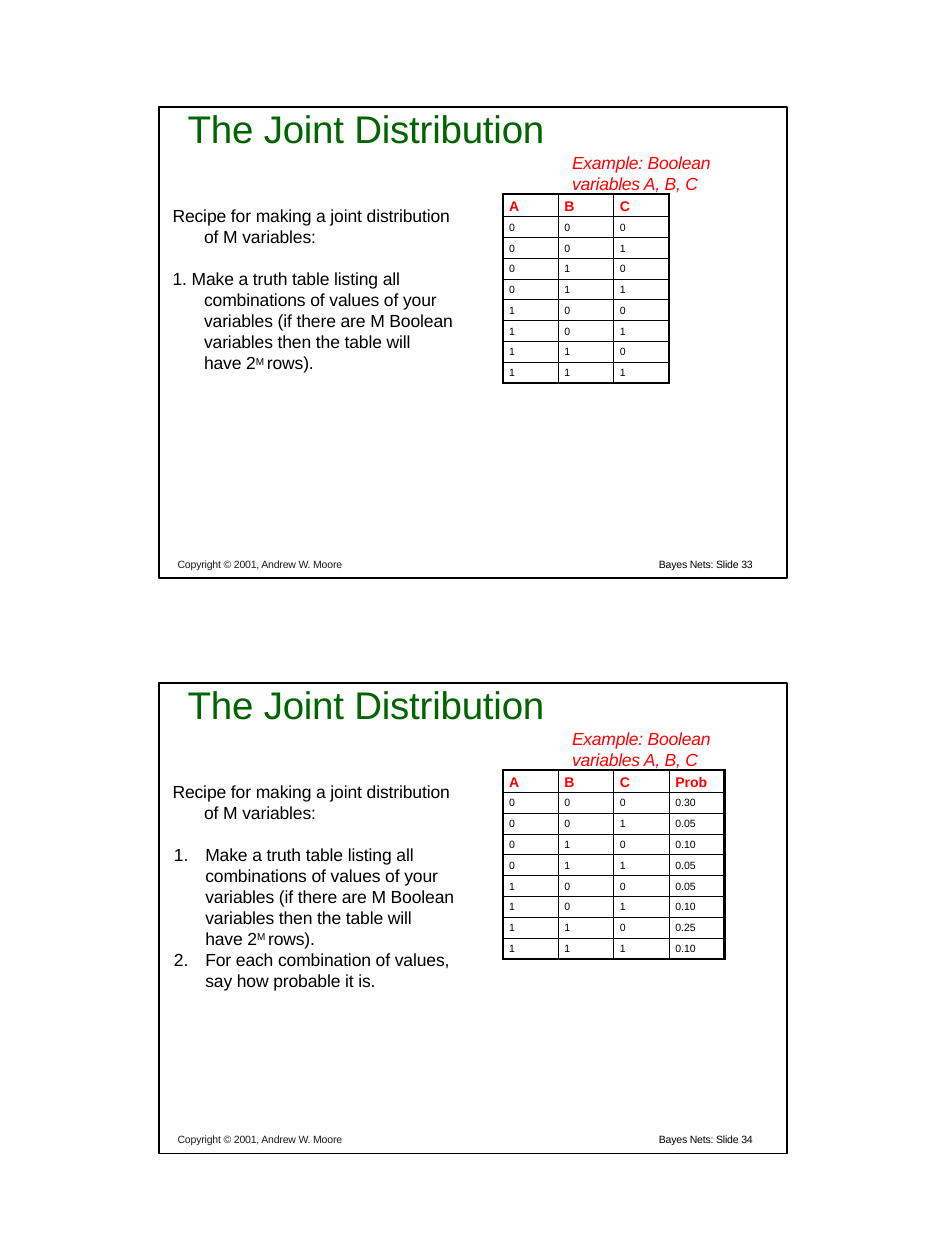
from dataclasses import dataclass
from itertools import product

from lxml.etree import SubElement
from pptx import Presentation
from pptx.dml.color import RGBColor as Color
from pptx.enum.shapes import MSO_SHAPE as Shape
from pptx.oxml import parse_xml
from pptx.oxml.ns import nsdecls, qn
from pptx.util import Inches, Pt

# The page is a grid of 150 columns by 200 rows of square units.
PAGE_COLUMNS, PAGE_ROWS = 150, 200
UNIT = Inches(7.5) / PAGE_COLUMNS


@dataclass(frozen=True)
class Style:
    size: float
    color: str
    bold: bool = False
    italic: bool = False
    tracking: int = 0  # hundredths of a point


@dataclass(frozen=True)
class Theme:
    font: str = "Arial"
    line: str = "000000"
    rule: str = "010101"
    frame_width: float = 1.02
    outer_rule: float = 1.5
    inner_rule: float = 0.5
    title: Style = Style(22, "006500", tracking=-10)
    body: Style = Style(10, "000000", tracking=-5)
    exponent: Style = Style(9.8, "000000")
    example: Style = Style(10, "FF0000", italic=True, tracking=-10)
    heading: Style = Style(8, "FF0000", bold=True)
    value: Style = Style(6, "000000")
    copyright: Style = Style(6, "1C1C1C", tracking=-10)
    page: Style = Style(6, "000000", tracking=-10)


THEME = Theme()


@dataclass(frozen=True)
class Box:
    left: float
    top: float
    width: float
    height: float

    def inner(self, left, top, width, height):
        return Box(self.left + left, self.top + top, width, height)

    def lengths(self):
        return [units(n) for n in (self.left, self.top, self.width, self.height)]


def units(count):
    return round(count * UNIT)


def add_run(paragraph, text, style, raised=False):
    run = paragraph.add_run()
    run.text = text
    font = run.font
    font.name, font.size = THEME.font, Pt(style.size)
    font.bold, font.italic = style.bold, style.italic
    font.color.rgb = Color.from_string(style.color)
    properties = run._r.get_or_add_rPr()
    if style.tracking:
        properties.set("spc", str(style.tracking))
    if raised:
        properties.set("baseline", "26000")


def add_text_frame(slide, box):
    frame = slide.shapes.add_textbox(*box.lengths()).text_frame
    frame.word_wrap = True
    frame.margin_left = frame.margin_right = frame.margin_bottom = 0
    frame.margin_top = units(0.5)
    return frame


def add_label(slide, box, text, style):
    add_run(add_text_frame(slide, box).paragraphs[0], text, style)


def set_hanging_indent(paragraph, numbered=False):
    properties = paragraph._p.get_or_add_pPr()
    properties.set("marL", str(units(6.2 if numbered else 6)))
    properties.set("indent", str(units(-5)))
    if numbered:
        SubElement(properties, qn("a:buAutoNum"), type="arabicPeriod")
        tabs = SubElement(properties, qn("a:tabLst"))
        SubElement(tabs, qn("a:tab"), pos=str(units(6.2)), algn="l")


def add_recipe(slide, box, with_probabilities):
    """Number the steps as a list only when there is more than one."""
    frame = add_text_frame(slide, box)
    intro = frame.paragraphs[0]
    set_hanging_indent(intro)
    add_run(intro, "Recipe for making a joint distribution of M variables:", THEME.body)

    step = frame.add_paragraph()
    set_hanging_indent(step, with_probabilities)
    step.space_before = Pt(12)
    if not with_probabilities:
        add_run(step, "1. ", THEME.body)
    add_run(step, "Make a truth table listing all combinations of values of your "
            "variables (if there are M Boolean variables then the table will", THEME.body)
    step.add_line_break()
    add_run(step, "have 2", THEME.body)
    add_run(step, "M ", THEME.exponent, raised=True)
    add_run(step, "rows).", THEME.body)

    if with_probabilities:
        step = frame.add_paragraph()
        set_hanging_indent(step, numbered=True)
        add_run(step, "For each combination of values, say how probable it is.", THEME.body)


def set_borders(cell, outer_sides):
    """Rule all four sides, heavier where the side is on the table's edge."""
    properties = cell._tc.get_or_add_tcPr()
    for index, side in enumerate("LRTB"):
        width = THEME.outer_rule if side in outer_sides else THEME.inner_rule
        properties.insert(index, parse_xml(
            f'<a:ln{side} {nsdecls("a")} w="{Pt(width)}"><a:solidFill>'
            f'<a:srgbClr val="{THEME.rule}"/></a:solidFill></a:ln{side}>'))


def add_truth_table(slide, corner, probabilities):
    headings = ["A", "B", "C"] + (["Prob"] if probabilities else [])
    rows = [headings] + [list(map(str, bits)) for bits in product((0, 1), repeat=3)]
    for row, probability in zip(rows[1:], probabilities):
        row.append(probability)

    column_width, heading_height, row_height = 8.8, 3.6, 3.3
    last_row, last_column = len(rows) - 1, len(headings) - 1
    box = corner.inner(0, 0, column_width * len(headings),
                       heading_height + row_height * last_row)
    table = slide.shapes.add_table(len(rows), len(headings), *box.lengths()).table
    table.first_row = table.horz_banding = False
    for column in table.columns:
        column.width = units(column_width)

    for r, row in enumerate(rows):
        table.rows[r].height = units(row_height if r else heading_height)
        for c, text in enumerate(row):
            cell = table.cell(r, c)
            cell.fill.background()
            cell.margin_left, cell.margin_top = units(1), units(0.8)
            cell.margin_right = cell.margin_bottom = 0
            add_run(cell.text_frame.paragraphs[0], text,
                    THEME.value if r else THEME.heading)
            edges = {"L": c == 0, "R": c == last_column, "T": r == 0, "B": r == last_row}
            set_borders(cell, [side for side, outer in edges.items() if outer])


def add_frame(slide, box):
    frame = slide.shapes.add_shape(Shape.RECTANGLE, *box.lengths())
    frame.shadow.inherit = False
    frame.fill.background()
    frame.line.color.rgb = Color.from_string(THEME.line)
    frame.line.width = Pt(THEME.frame_width)


def add_panel(slide, box, number, probabilities=()):
    add_frame(slide, box)
    add_label(slide, box.inner(4.6, -0.8, 58, 8), "The Joint Distribution", THEME.title)
    add_recipe(slide, box.inner(1.2, 15, 47.4, 34 if probabilities else 27.2),
               bool(probabilities))
    add_label(slide, box.inner(65.6, 6.6, 23.2, 7.2),
              "Example: Boolean variables A, B, C", THEME.example)
    add_truth_table(slide, box.inner(54.6, 13.8, 0, 0), probabilities)
    add_label(slide, box.inner(3, 71, 27.8, 2.5),
              "Copyright © 2001, Andrew W. Moore", THEME.copyright)
    add_label(slide, box.inner(79.4, 71, 16, 2.5),
              f"Bayes Nets: Slide {number}", THEME.page)


def main():
    presentation = Presentation()
    presentation.slide_width = units(PAGE_COLUMNS)
    presentation.slide_height = units(PAGE_ROWS)
    slide = presentation.slides.add_slide(presentation.slide_layouts[6])
    upper = Box(25.2, 17, 99.7, 74.7)
    add_panel(slide, upper, 33)
    add_panel(slide, upper.inner(0, 91.4, upper.width, upper.height), 34,
              ("0.30", "0.05", "0.10", "0.05", "0.05", "0.10", "0.25", "0.10"))
    presentation.save("out.pptx")


if __name__ == "__main__":
    main()
